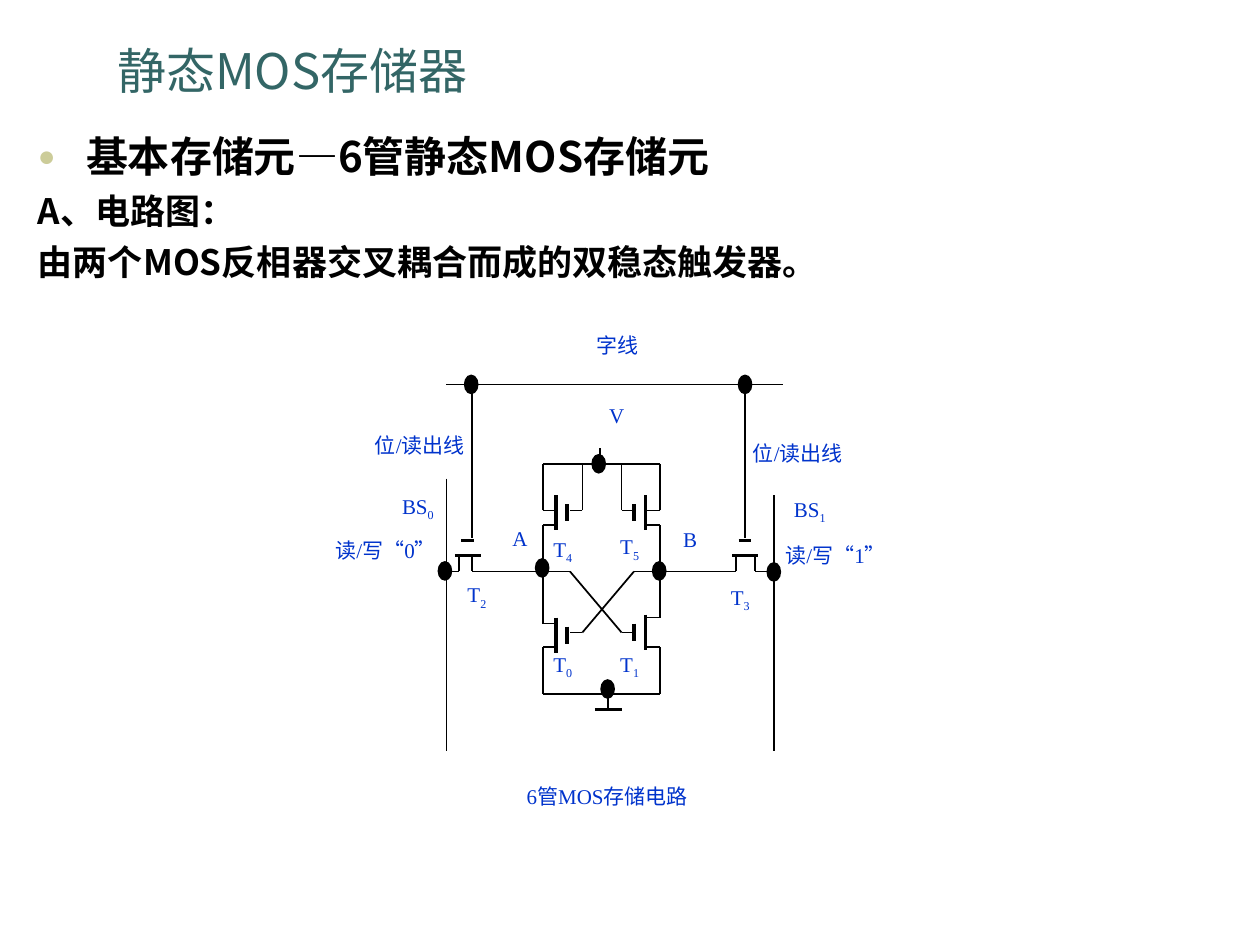
from itertools import pairwise

from lxml import etree
from pptx import Presentation
from pptx.dml.color import RGBColor
from pptx.enum.shapes import MSO_CONNECTOR, MSO_SHAPE
from pptx.enum.text import MSO_ANCHOR, MSO_AUTO_SIZE, PP_ALIGN
from pptx.oxml.ns import qn
from pptx.util import Cm, Pt

STRAIGHT, ELLIPSE = MSO_CONNECTOR.STRAIGHT, MSO_SHAPE.OVAL
LEFT, CENTER, JUSTIFY = PP_ALIGN.LEFT, PP_ALIGN.CENTER, PP_ALIGN.JUSTIFY
BOTTOM, TOP = MSO_ANCHOR.BOTTOM, MSO_ANCHOR.TOP
NO_AUTOFIT = MSO_AUTO_SIZE.NONE

SANS, SERIF = "Noto Sans CJK SC", "Times New Roman"
BLACK, TEAL, BLUE, KHAKI = "000000", "336666", "0033CC", "CCCC99"
THIN, THICK = Pt(1), Pt(2)
HANGING = Cm(0.97)

# Circuit levels and columns, in cm from the corner of the circuit box
WORD_Y, SUPPLY_Y, NODE_Y, GROUND_Y = 1.02, 2.62, 4.79, 7.26
BIT_0_X, NODE_A_X, NODE_B_X, BIT_1_X = 2.29, 4.24, 6.6, 8.9

SMALL, WIDE = (0.89, 0.71), (2.13, 1.12)
LABELS = [  # text, subscript, left, top, size
    ("A", "", 3.33, 3.89, SMALL), ("B", "", 6.76, 3.91, SMALL),
    ("V", "", 5.28, 1.42, SMALL),
    ("T", "0", 4.19, 6.38, SMALL), ("T", "1", 5.54, 6.38, SMALL),
    ("T", "2", 2.46, 4.98, SMALL), ("T", "3", 7.77, 5.03, SMALL),
    ("T", "4", 4.19, 4.06, SMALL), ("T", "5", 5.54, 4.01, SMALL),
    ("BS", "0", 1.27, 3.2, SMALL), ("BS", "1", 9.17, 3.25, SMALL),
    ("读/写“0”", "", 0, 4.14, WIDE), ("读/写“1”", "", 9.07, 4.24, WIDE),
    ("位/读出线", "", 0.69, 2.01, WIDE), ("位/读出线", "", 8.31, 2.18, WIDE),
    ("字线", "", 4.19, 0, (3.1, 1.12)),
    ("6管MOS存储电路", "", 2.84, 9.09, (5.38, 1.24)),
]
WIRES = [
    [(BIT_0_X, WORD_Y), (9.07, WORD_Y)],
    [(BIT_0_X, 2.92), (BIT_0_X, 8.41)],
    [(BIT_1_X, 3.25), (BIT_1_X, 8.41)],
    [(5.38, 2.31), (5.38, SUPPLY_Y)],
    [(NODE_A_X, 3.56), (NODE_A_X, SUPPLY_Y), (NODE_B_X, SUPPLY_Y), (NODE_B_X, 3.56)],
    [(4.78, 3.56), (5.03, 3.56), (5.03, SUPPLY_Y)],
    [(6.07, 3.56), (5.82, 3.56), (5.82, SUPPLY_Y)],
    [(NODE_A_X, 3.86), (NODE_A_X, 5.84)],
    [(NODE_B_X, 3.86), (NODE_B_X, 5.72)],
    [(2.81, NODE_Y), (4.78, NODE_Y), (5.82, 6.02), (6.07, 6.02)],
    [(8.13, NODE_Y), (6.07, NODE_Y), (5.03, 6.02), (4.78, 6.02)],
    [(NODE_A_X, 6.32), (NODE_A_X, GROUND_Y), (NODE_B_X, GROUND_Y), (NODE_B_X, 6.32)],
    [(5.55, GROUND_Y), (5.55, 7.57)],
    [(BIT_0_X, NODE_Y), (2.54, NODE_Y)],
    [(8.51, NODE_Y), (BIT_1_X, NODE_Y)],
]
JUNCTIONS = [(2.79, WORD_Y), (8.31, WORD_Y), (5.36, SUPPLY_Y), (2.26, 4.78),
             (4.22, 4.72), (6.58, 4.78), (8.89, 4.8), (5.54, 7.16)]


def color(value):
    return RGBColor.from_string(value)


def apply(target, values):
    for name, value in values.items():
        setattr(target, name, value)


def add_text(paragraph, text, hue, latin, **font_format):
    run = paragraph.add_run()
    run.text = text
    apply(run.font, {"name": latin, **font_format})
    run.font.color.rgb = color(hue)
    properties = run._r.get_or_add_rPr()
    etree.SubElement(properties, qn("a:ea"), typeface=SANS)
    return properties


def hang(paragraph):
    properties = paragraph._p.get_or_add_pPr()
    properties.set("marL", str(HANGING))
    properties.set("indent", str(-HANGING))
    return properties


def place(shape, left, top, width, height):
    apply(shape, {"left": Cm(left), "top": Cm(top),
                  "width": Cm(width), "height": Cm(height)})


def fill_title(title, box):
    place(title, *box)
    frame = title.text_frame
    apply(frame, {"vertical_anchor": BOTTOM, "auto_size": NO_AUTOFIT})
    paragraph = frame.paragraphs[0]
    paragraph.alignment = LEFT
    add_text(paragraph, "静态MOS存储器", TEAL, SANS, size=Pt(28))


def fill_body(body, box):
    place(body, *box)
    frame = body.text_frame
    apply(frame, {"vertical_anchor": TOP, "auto_size": NO_AUTOFIT})
    lines = [("基本存储元—6管静态MOS存储元", 24), ("A、电路图：", 20),
             ("由两个MOS反相器交叉耦合而成的双稳态触发器。", 20)]
    for index, (line, size) in enumerate(lines):
        paragraph = frame.add_paragraph() if index else frame.paragraphs[0]
        apply(paragraph, {"alignment": JUSTIFY, "space_before": Pt(5 if index else 0)})
        properties = hang(paragraph)
        if index:
            etree.SubElement(properties, qn("a:buNone"))
        else:
            bullet_color = etree.SubElement(properties, qn("a:buClr"))
            etree.SubElement(bullet_color, qn("a:srgbClr"), val=KHAKI)
            etree.SubElement(properties, qn("a:buSzPct"), val="70000")
            etree.SubElement(properties, qn("a:buChar"), char="●")
        add_text(paragraph, line, BLACK, SANS, size=Pt(size), bold=True)


def draw_circuit(shapes, left, top):
    """Six-transistor cell with its corner at left, top (cm)."""

    def wire(points, weight=THIN):
        for (x1, y1), (x2, y2) in pairwise(points):
            line = shapes.add_connector(STRAIGHT, Cm(left + x1), Cm(top + y1),
                                        Cm(left + x2), Cm(top + y2))
            line.line.color.rgb = color(BLACK)
            line.line.width = weight
            etree.SubElement(line._element.spPr, qn("a:effectLst"))

    def cell_transistor(channel_x, gate_x, rail_x, y, lead_ys):
        wire([(channel_x, y), (channel_x, y + 0.71)], THICK)
        wire([(gate_x, y + 0.18), (gate_x, y + 0.53)], THICK)
        for lead_y in lead_ys:
            wire([(rail_x, lead_y), (channel_x, lead_y)])

    def access_transistor(x, leg_xs, gate_lead_x):
        wire([(x, 4.47), (x + 0.52, 4.47)], THICK)
        wire([(x + 0.13, 4.17), (x + 0.38, 4.17)], THICK)
        for leg_x in leg_xs:
            wire([(leg_x, 4.47), (leg_x, NODE_Y)])
        wire([(gate_lead_x, 4.11), (gate_lead_x, WORD_Y)])

    def label(text, subscript, x, y, size):
        box = shapes.add_textbox(Cm(left + x), Cm(top + y), *map(Cm, size))
        frame = box.text_frame
        inset = Cm(0.03)
        apply(frame, {"word_wrap": True, "margin_left": inset, "margin_right": inset,
                      "margin_top": inset, "margin_bottom": inset})
        paragraph = frame.paragraphs[0]
        apply(paragraph, {"alignment": CENTER, "line_spacing": 0.9})
        hang(paragraph)
        add_text(paragraph, text, BLUE, SERIF, size=Pt(12))
        if subscript:
            add_text(paragraph, subscript, BLUE, SERIF,
                     size=Pt(12)).set("baseline", "-25000")

    def junction(x, y, width=0.26, height=0.36):
        dot = shapes.add_shape(ELLIPSE, Cm(left + x - width / 2),
                               Cm(top + y - height / 2), Cm(width), Cm(height))
        dot.shadow.inherit = False
        dot.fill.solid()
        dot.fill.fore_color.rgb = dot.line.color.rgb = color(BLACK)
        dot.line.width = THIN

    for entry in LABELS:
        label(*entry)
    for side, lower_y, lower_lead in (((4.5, 4.72, NODE_A_X), 5.72, 5.84),
                                      ((6.3, 6.07, NODE_B_X), 5.66, 5.72)):
        cell_transistor(*side, 3.25, (3.56, 3.86))
        cell_transistor(*side, lower_y, (lower_lead, 6.32))
    access_transistor(2.46, (2.54, 2.81), 2.81)
    access_transistor(8.05, (8.13, 8.51), 8.31)
    for points in WIRES:
        wire(points)
    wire([(5.28, 7.57), (5.82, 7.57)], THICK)
    for center in JUNCTIONS:
        junction(*center)


def main():
    deck = Presentation()
    apply(deck, {"slide_width": Cm(25.4), "slide_height": Cm(19.05)})
    slide = deck.slides.add_slide(deck.slide_layouts[1])
    fill_title(slide.shapes.title, (2.11, 0.53, 21.39, 1.6))
    fill_body(slide.placeholders[1], (0.51, 2.51, 24.41, 15.39))
    draw_circuit(slide.shapes.add_group_shape().shapes, 6.71, 6.73)
    deck.save("out.pptx")


if __name__ == "__main__":
    main()
